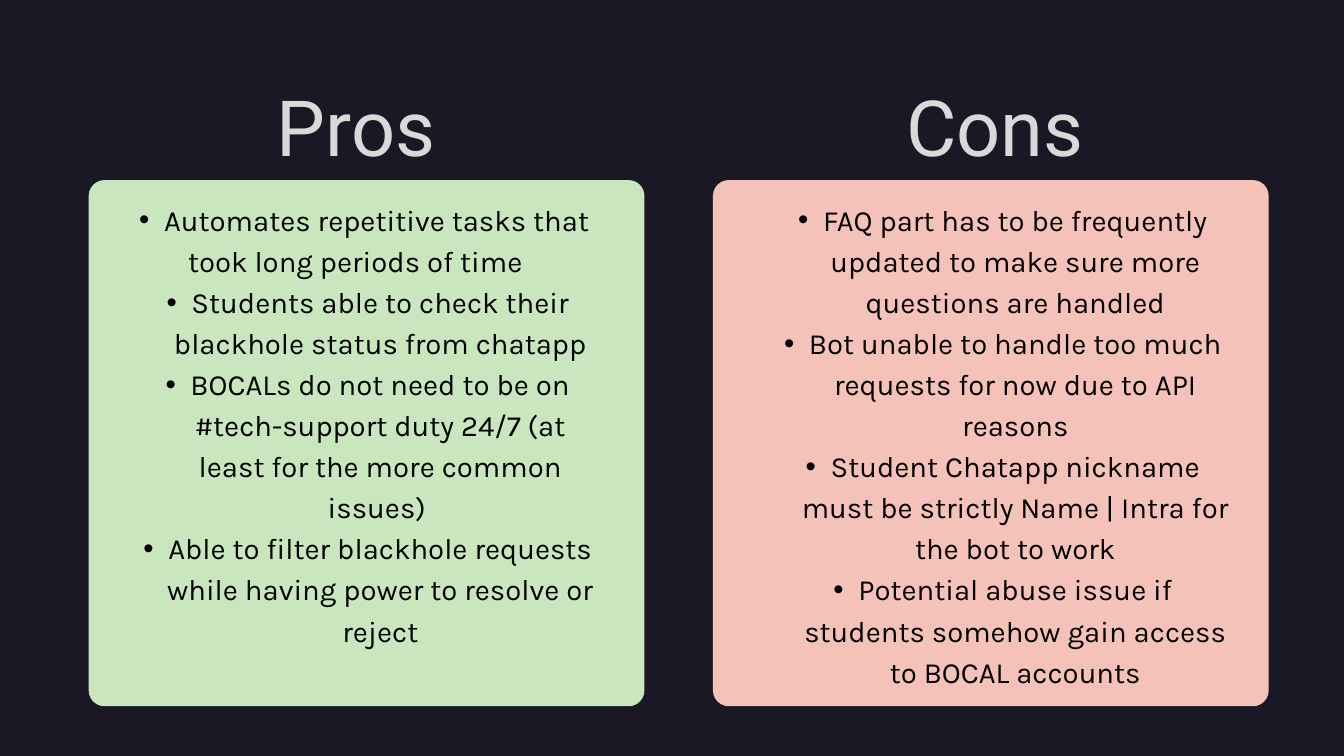
"""Build a slide that sets pros beside cons on two tinted cards."""
import lxml.etree
import pptx
import pptx.dml.color
import pptx.enum.shapes
import pptx.enum.text
import pptx.oxml.ns
import pptx.util

SIDES = [
    {
        "head": "Pros", "fill": "CAE6BE", "slots": (1, 2),
        "head_x": 19.9, "head_w": 13.2, "list_x": 8.3,
        "items": [
            ("•", "Automates repetitive tasks that "),
            ("", "took long periods of time"),
            ("•", "Students able to check their blackhole status from chatapp"),
            ("•", "BOCALs do not need to be on #tech-support duty 24/7 "
                  "(at least for the more common issues) "),
            ("•", "Able to filter blackhole requests while having power "
                  "to resolve or reject"),
        ],
    },
    {
        "head": "Cons", "fill": "F4C2B9", "slots": (3, 4),
        "head_x": 66.8, "head_w": 14.45, "list_x": 55.55,
        "items": [
            ("•", "FAQ part has to be frequently updated to make sure more "
                  "questions are handled"),
            ("•", "Bot unable to handle too much requests for now due to "
                  "API reasons"),
            ("•", "Student Chatapp nickname must be strictly Name | Intra "
                  "for the bot to work"),
            ("•", "Potential abuse issue if students somehow gain access "
                  "to BOCAL accounts"),
        ],
    },
]

THEME = {
    "back": "191824",
    "head": {"font": "Roboto", "size": 83, "color": "D9D9D9", "line": 116.2},
    "list": {"font": "Karla", "size": 31.4, "color": "000000", "line": 44},
}

WIDE, HIGH = pptx.util.Inches(20), pptx.util.Inches(11.25)
CARD_X, CARD_STEP, CARD_W = 6.6, 46.45, 41.35
CARD_Y, CARD_H = 23.82, 69.6
HEAD_Y, HEAD_H = 8.36, 13.87
LIST_Y, LIST_W, LIST_H = 25.96, 36.3, 64.62
ROUND = 0.03
INDENT = pptx.util.Inches(0.74)


def color(code):
    """Turn a hex code into a colour."""
    return pptx.dml.color.RGBColor.from_string(code)


def box(x, y, w, h):
    """Turn percent shares of the slide into lengths."""
    return [round(part * full / 100)
            for part, full in zip((x, y, w, h), (WIDE, HIGH, WIDE, HIGH))]


def place(shape, area):
    """Move a placeholder and clear its frame settings."""
    shape.left, shape.top, shape.width, shape.height = area
    frame = shape.text_frame
    frame.margin_left = frame.margin_right = 0
    frame.margin_top = frame.margin_bottom = 0
    frame.word_wrap = True
    frame.auto_size = pptx.enum.text.MSO_AUTO_SIZE.NONE
    frame.vertical_anchor = pptx.enum.text.MSO_ANCHOR.TOP
    return frame


def write(para, text, style, mark=""):
    """Write one centred paragraph, with a bullet if a mark is given."""
    para.alignment = pptx.enum.text.PP_ALIGN.CENTER
    para.line_spacing = pptx.util.Pt(style["line"])
    para.space_before = para.space_after = pptx.util.Pt(0)
    props = para._p.get_or_add_pPr()
    props.set("marL", str(INDENT if mark else 0))
    props.set("indent", str(-INDENT // 2 if mark else 0))
    qname = pptx.oxml.ns.qn
    if mark:
        para.level = 1
        lxml.etree.SubElement(props, qname("a:buChar")).set("char", mark)
    else:
        lxml.etree.SubElement(props, qname("a:buNone"))
    run = para.add_run()
    run.text = text
    run.font.name = style["font"]
    run.font.size = pptx.util.Pt(style["size"])
    run.font.bold = False
    run.font.color.rgb = color(style["color"])


def add_card(slide, col, fill):
    """Add a rounded card behind the text."""
    kind = pptx.enum.shapes.MSO_SHAPE.ROUNDED_RECTANGLE
    area = box(CARD_X + col * CARD_STEP, CARD_Y, CARD_W, CARD_H)
    card = slide.shapes.add_shape(kind, *area)
    card.adjustments[0] = ROUND
    card.shadow.inherit = False
    card.fill.solid()
    card.fill.fore_color.rgb = color(fill)
    card.line.fill.background()
    slide.shapes._spTree.insert(2 + col, card._element)


def main():
    """Build and save the deck."""
    deck = pptx.Presentation()
    deck.slide_width, deck.slide_height = WIDE, HIGH
    slide = deck.slides.add_slide(deck.slide_layouts.get_by_name("Comparison"))
    slide.background.fill.solid()
    slide.background.fill.fore_color.rgb = color(THEME["back"])
    title = slide.shapes.title._element
    title.getparent().remove(title)
    slots = {item.placeholder_format.idx: item for item in slide.placeholders}

    for col, side in enumerate(SIDES):
        add_card(slide, col, side["fill"])
        head, body = (slots[idx] for idx in side["slots"])
        frame = place(head, box(side["head_x"], HEAD_Y, side["head_w"], HEAD_H))
        write(frame.paragraphs[0], side["head"], THEME["head"])
        frame = place(body, box(side["list_x"], LIST_Y, LIST_W, LIST_H))
        for row, (mark, text) in enumerate(side["items"]):
            para = frame.add_paragraph() if row else frame.paragraphs[0]
            write(para, text, THEME["list"], mark)

    deck.save("out.pptx")


if __name__ == "__main__":
    main()
